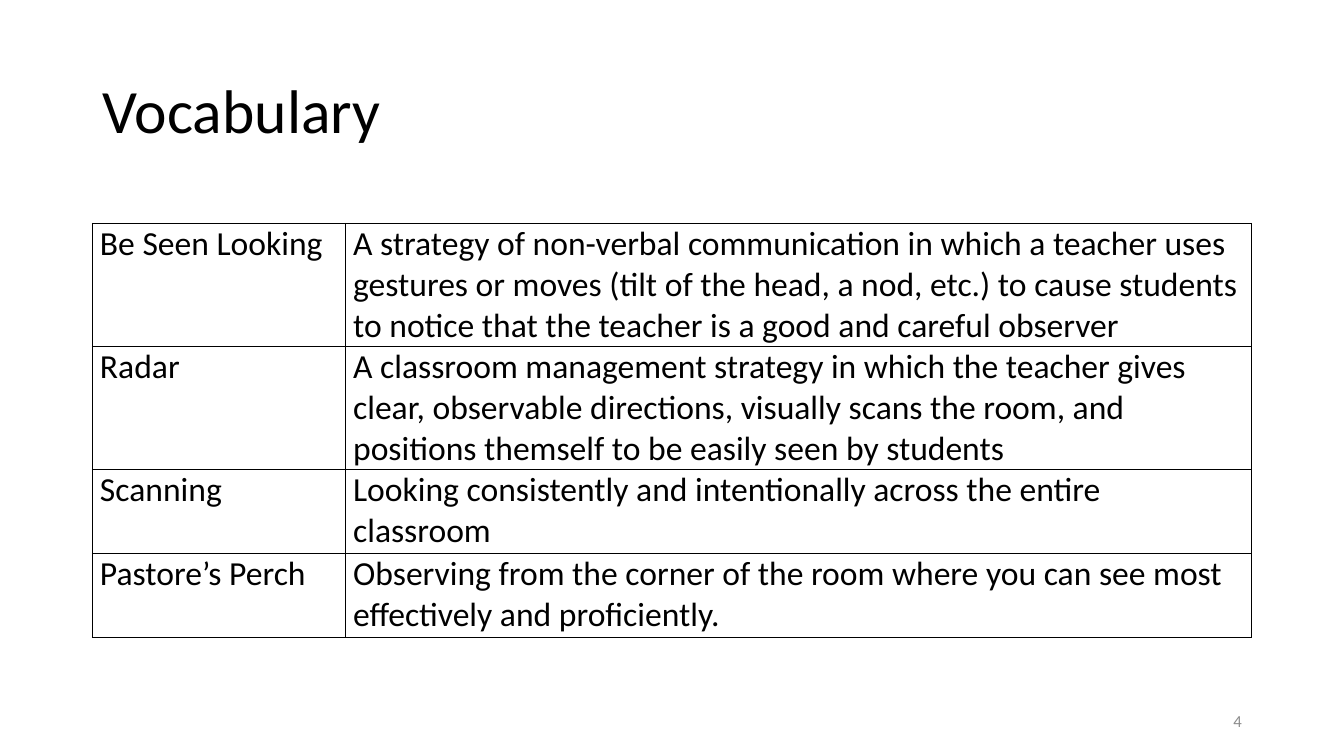
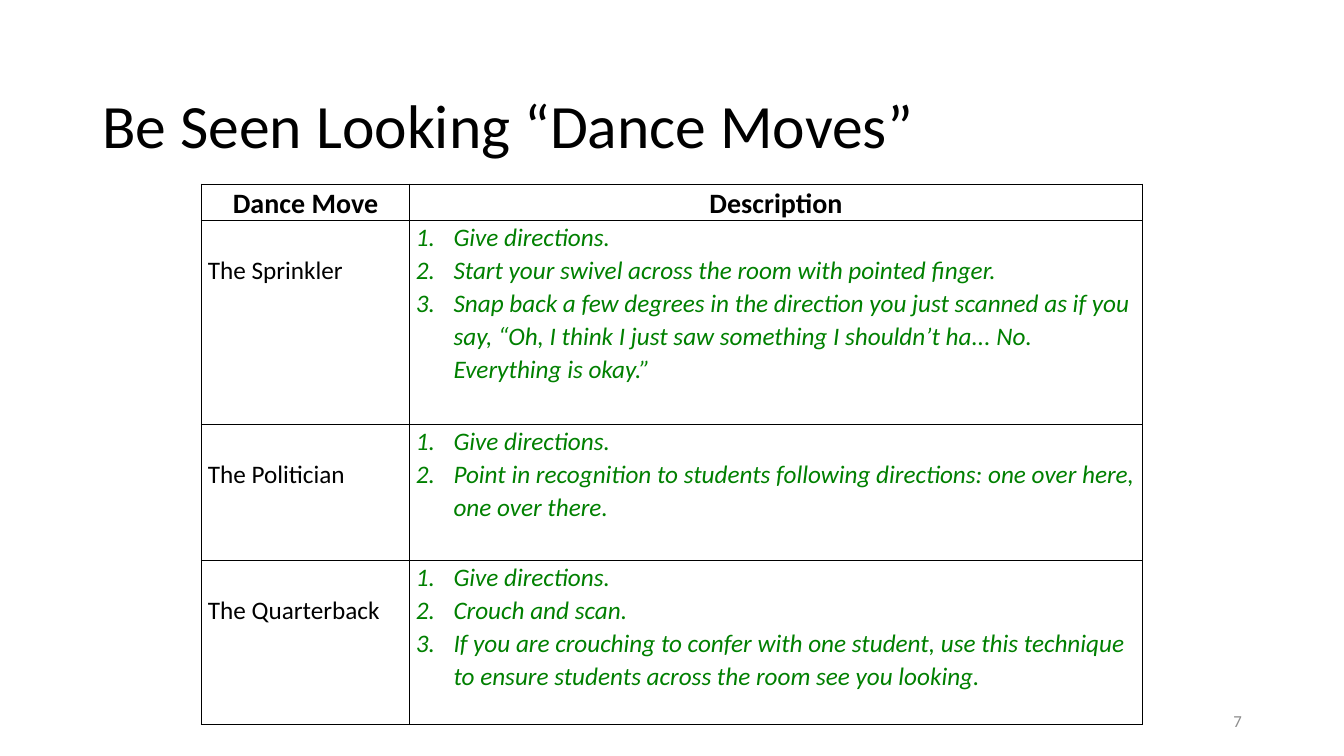
import pptx
import pptx.dml.color
import pptx.enum.text
import pptx.oxml
import pptx.oxml.ns
import pptx.util

Cm, Pt = pptx.util.Cm, pptx.util.Pt
ALIGN, ANCHOR = pptx.enum.text.PP_ALIGN, pptx.enum.text.MSO_ANCHOR

# Shared look
COLORS = {"text": "000000", "steps": "008000", "number": "8C8C8C"}
STYLES = {
    "title": {"size": Pt(44), "bold": False},
    "number": {"size": Pt(12)},
    "term": {"size": Pt(24), "bold": False},
    "head": {"size": Pt(20), "bold": True},
    "move": {"size": Pt(18), "bold": False},
    "steps": {"size": Pt(18), "bold": False, "italic": True},
}
NUMBER_BOX = (23.93, 17.65, 7.62, 1.02)
LIST_INDENT = 0.95
LINE_SPACING = 1.07
MOVE_DROP = 0.83  # one line of move text

VOCABULARY = [
    ("Be Seen Looking",
     "A strategy of non-verbal communication in which a teacher uses gestures or moves "
     "(tilt of the head, a nod, etc.) to cause students to notice that the teacher is "
     "a good and careful observer"),
    ("Radar",
     "A classroom management strategy in which the teacher gives clear, observable "
     "directions, visually scans the room, and positions themself to be easily seen by students"),
    ("Scanning", "Looking consistently and intentionally across the entire classroom"),
    ("Pastore’s Perch",
     "Observing from the corner of the room where you can see most effectively and proficiently."),
]
DANCE_MOVES = [
    ("The Sprinkler", [
        "Give directions.",
        "Start your swivel across the room with pointed finger.",
        "Snap back a few degrees in the direction you just scanned as if you say, “Oh, I think "
        "I just saw something I shouldn’t ha... No. Everything is okay.”"]),
    ("The Politician", [
        "Give directions.",
        "Point in recognition to students following directions: one over here, one over there."]),
    ("The Quarterback", [
        "Give directions.",
        "Crouch and scan.",
        "If you are crouching to confer with one student, use this technique to ensure "
        "students across the room see you looking."]),
]


def add_text(p, text, style, align=ALIGN.LEFT, spacing=1.0):
    p.alignment = align
    p.line_spacing = spacing
    r = p.add_run()
    r.text = text
    r.font.name = "Calibri"
    r.font.color.rgb = pptx.dml.color.RGBColor.from_string(COLORS.get(style, COLORS["text"]))
    for name, value in STYLES[style].items():
        setattr(r.font, name, value)


def number_paragraph(p):
    pPr = p._p.get_or_add_pPr()
    pPr.set("marL", str(Cm(LIST_INDENT)))
    pPr.set("indent", str(-Cm(LIST_INDENT)))
    bullet = pptx.oxml.parse_xml(
        f'<a:buAutoNum {pptx.oxml.ns.nsdecls("a")} type="arabicPeriod"/>')
    pPr.append(bullet)


def add_borders(cell):
    tcPr = cell._tc.get_or_add_tcPr()
    for i, side in enumerate(("lnL", "lnR", "lnT", "lnB")):
        line = pptx.oxml.parse_xml(
            f'<a:{side} {pptx.oxml.ns.nsdecls("a")} w="{Pt(1)}"><a:solidFill>'
            f'<a:srgbClr val="{COLORS["text"]}"/></a:solidFill></a:{side}>')
        tcPr.insert(i, line)


def fill_cell(cell, lines, style, margin, top=0, **layout):
    cell.fill.background()
    add_borders(cell)
    cell.margin_left = cell.margin_right = Cm(margin)
    cell.margin_top, cell.margin_bottom = Cm(top), 0
    tf = cell.text_frame
    for i, text in enumerate(lines):
        p = tf.add_paragraph() if i else tf.paragraphs[0]
        if style == "steps":
            number_paragraph(p)
        add_text(p, text, style, **layout)


def add_grid(s, left, top, widths, heights):
    table = s.shapes.add_table(len(heights), len(widths), Cm(left), Cm(top),
                               Cm(sum(widths)), Cm(sum(heights))).table
    table.first_row = table.horz_banding = False
    for column, width in zip(table.columns, widths):
        column.width = Cm(width)
    for row, height in zip(table.rows, heights):
        row.height = Cm(height)
    return table


# Title and slide number
def add_slide(prs, title, number, title_box):
    s = prs.slides.add_slide(prs.slide_layouts[5])
    sp = s.shapes.title
    sp.left, sp.top, sp.width, sp.height = map(Cm, title_box)
    tf = sp.text_frame
    tf.vertical_anchor = ANCHOR.MIDDLE
    tf.auto_size = pptx.enum.text.MSO_AUTO_SIZE.NONE
    add_text(tf.paragraphs[0], title, "title", spacing=0.9)

    tf = s.shapes.add_textbox(*map(Cm, NUMBER_BOX)).text_frame
    tf.word_wrap = True
    tf.vertical_anchor = ANCHOR.MIDDLE
    add_text(tf.paragraphs[0], number, "number", align=ALIGN.RIGHT)
    return s


# Terms and their definitions
def add_vocabulary(s, left, top, width):
    term_width = 6.38
    table = add_grid(s, left, top, (term_width, width - term_width), (3.1, 3.1, 2.12, 2.12))
    for r, row in enumerate(VOCABULARY):
        for c, text in enumerate(row):
            fill_cell(table.cell(r, c), [text], "term", 0.19)


# Moves and their numbered steps
def add_dance_moves(s, left, top, width):
    move_width = 5.24
    table = add_grid(s, left, top, (move_width, width - move_width), (0.92, 5.14, 3.43, 4.13))
    for c, text in enumerate(("Dance Move", "Description")):
        fill_cell(table.cell(0, c), [text], "head", 0.16,
                  align=ALIGN.CENTER, spacing=LINE_SPACING)
    for r, (move, steps) in enumerate(DANCE_MOVES, 1):
        fill_cell(table.cell(r, 0), [move], "move", 0.16, top=MOVE_DROP, spacing=LINE_SPACING)
        fill_cell(table.cell(r, 1), steps, "steps", 0.16, spacing=LINE_SPACING)


def main():
    prs = pptx.Presentation()
    prs.slide_width, prs.slide_height = Cm(33.87), Cm(19.05)

    s = add_slide(prs, "Vocabulary", "4", (2.33, 1.01, 29.21, 3.68))
    add_vocabulary(s, 2.33, 5.63, 29.21)

    s = add_slide(prs, "Be Seen Looking “Dance Moves”", "7", (2.33, 1.4, 29.21, 3.68))
    add_dance_moves(s, 5.08, 4.64, 23.71)

    prs.save("out.pptx")


if __name__ == "__main__":
    main()
